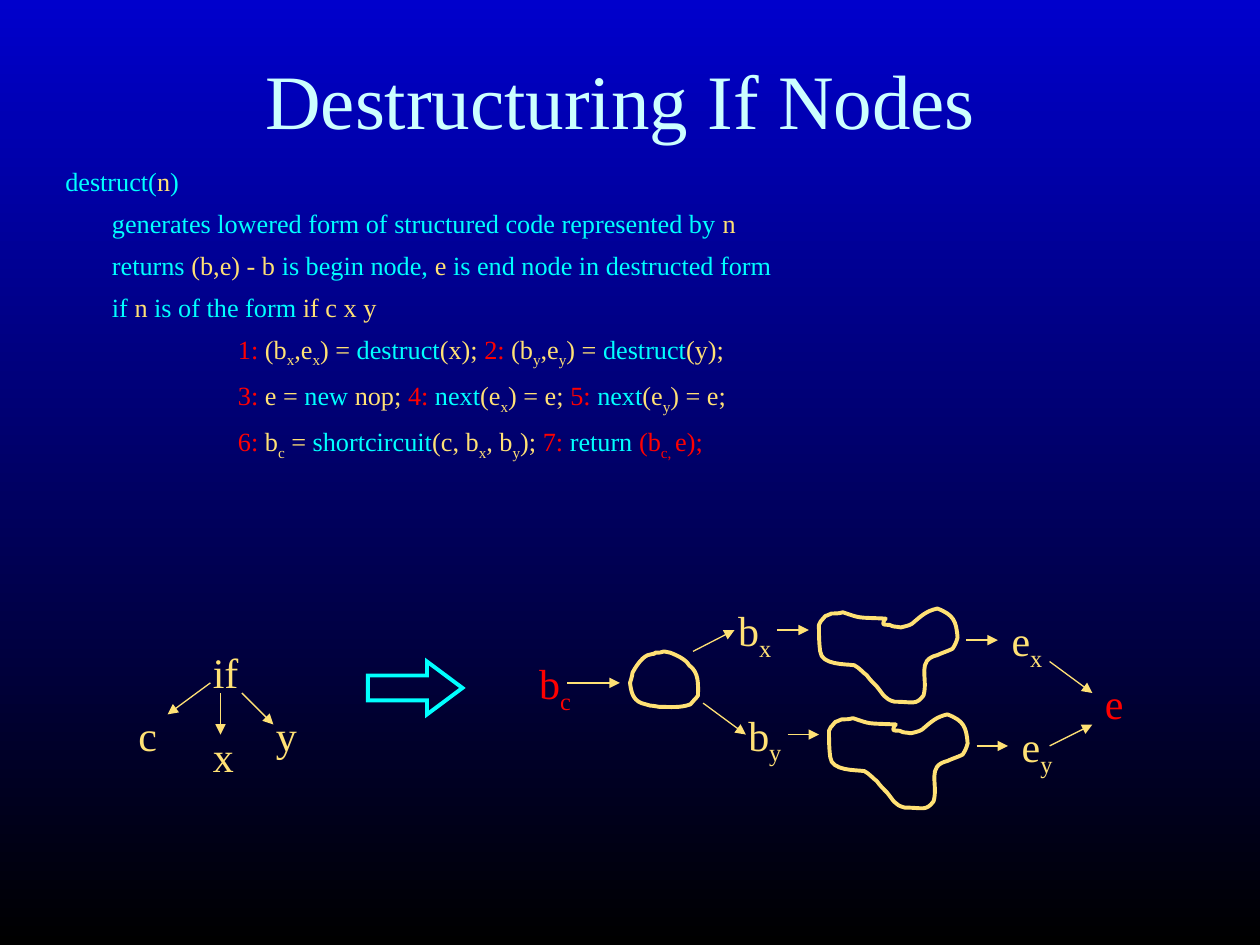
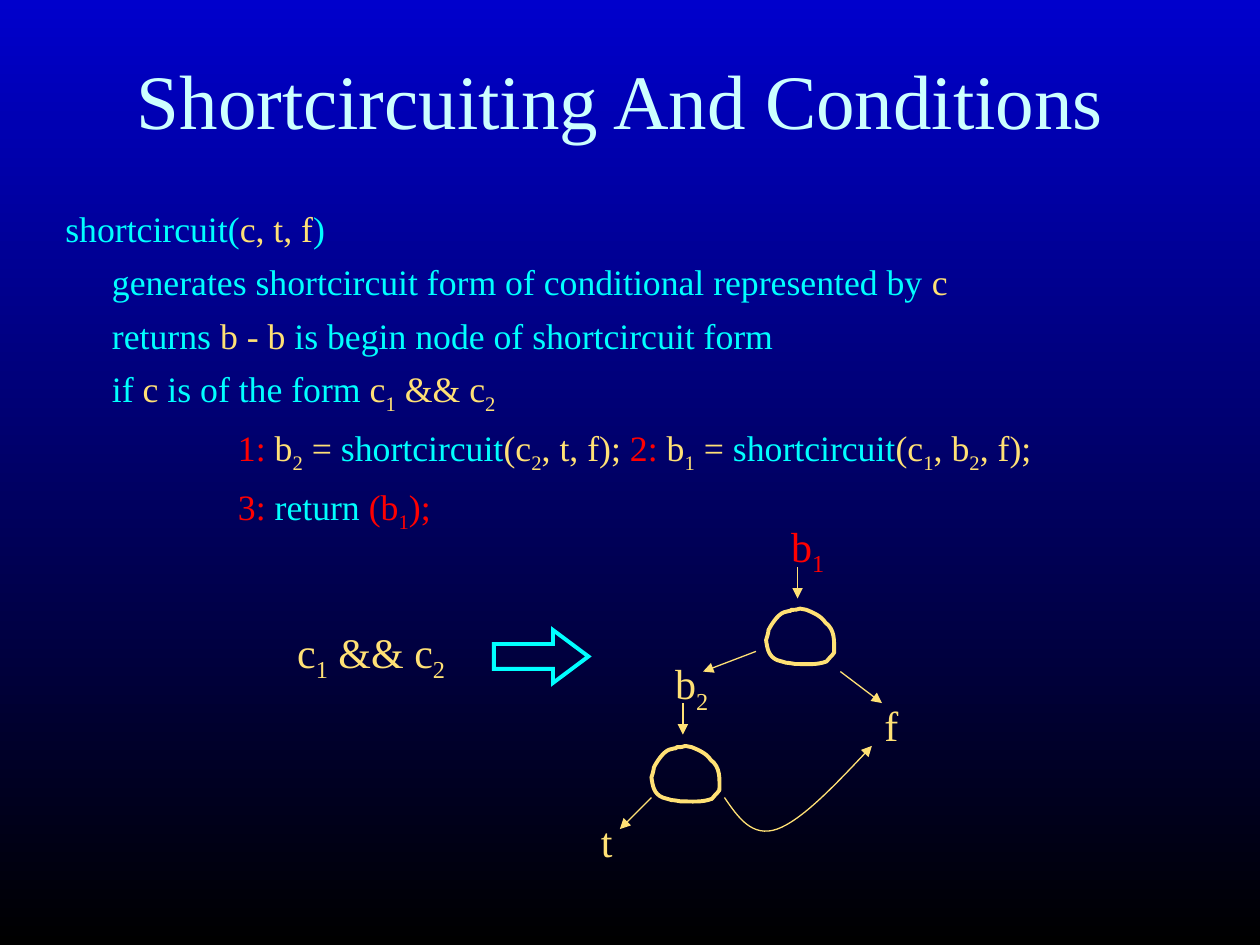
from itertools import chain
from typing import NamedTuple

from lxml.etree import SubElement
from pptx import Presentation
from pptx.dml.color import RGBColor
from pptx.enum.shapes import MSO_CONNECTOR, MSO_SHAPE
from pptx.enum.text import MSO_ANCHOR, MSO_AUTO_SIZE, PP_ALIGN
from pptx.oxml.ns import qn
from pptx.util import Inches, Pt

FONT = "Times New Roman"
SKY, NIGHT, PALE = "0000CC", "000000", "CCFFFF"
CYAN, GOLD, RED = "00FFFF", "FFE175", "FF0000"
INKS = {"c": CYAN, "y": GOLD, "r": RED}
INDENTS = (0, 0.37, 1.37)
SLACK = 0.05

Point = tuple[float, float]

# Bezier outlines, relative to the top left corner
NODE = (
    (0.2, 0.01),
    (0.2, 0.02), (0.19, 0.02), (0.18, 0.02),
    (0.17, 0.03), (0.15, 0.02), (0.14, 0.03),
    (0.09, 0.05), (0.04, 0.13), (0.02, 0.17),
    (0.02, 0.19), (0, 0.25), (0, 0.25),
    (0.01, 0.32), (0.02, 0.38), (0.09, 0.41),
    (0.11, 0.42), (0.14, 0.42), (0.16, 0.43),
    (0.18, 0.43), (0.23, 0.44), (0.23, 0.44),
    (0.32, 0.44), (0.4, 0.45), (0.48, 0.42),
    (0.53, 0.36), (0.51, 0.39), (0.54, 0.35),
    (0.54, 0.26), (0.55, 0.17), (0.47, 0.11),
    (0.44, 0.06), (0.37, 0.03), (0.32, 0.01),
    (0.3, 0.01), (0.29, 0), (0.27, 0),
    (0.25, 0.01), (0.23, 0.01), (0.2, 0.01),
)
CLOUD = (
    (0.53, 0.08),
    (0.29, 0.07), (0.34, 0.08), (0.19, 0.03),
    (0.16, 0.04), (0.13, 0.04), (0.1, 0.04),
    (0.08, 0.05), (0.05, 0.06), (0.05, 0.06),
    (0, 0.12), (0.02, 0.09), (0, 0.13),
    (0, 0.2), (0, 0.27), (0.01, 0.34),
    (0.02, 0.45), (0.21, 0.44), (0.28, 0.45),
    (0.32, 0.47), (0.35, 0.51), (0.38, 0.53),
    (0.4, 0.56), (0.43, 0.59), (0.46, 0.62),
    (0.51, 0.68), (0.52, 0.72), (0.6, 0.74),
    (0.75, 0.74), (0.77, 0.77), (0.83, 0.69),
    (0.87, 0.55), (0.77, 0.41), (0.94, 0.37),
    (0.98, 0.35), (1.02, 0.34), (1.06, 0.32),
    (1.08, 0.29), (1.09, 0.27), (1.1, 0.23),
    (1.09, 0.1), (1.07, 0.05), (0.94, 0),
    (0.85, 0.02), (0.81, 0.06), (0.74, 0.12),
    (0.71, 0.14), (0.68, 0.14), (0.65, 0.15),
    (0.6, 0.14), (0.6, 0.15), (0.56, 0.13),
    (0.54, 0.13), (0.51, 0.13), (0.51, 0.12),
    (0.51, 0.1), (0.52, 0.09), (0.53, 0.08),
)
SWOOP = (
    (5.75, 6.33),
    (5.86, 6.49), (5.97, 6.65), (6.17, 6.58),
    (6.36, 6.51), (6.64, 6.22), (6.92, 5.92),
)


class Label(NamedTuple):
    text: str
    left: float
    top: float
    width: float


class Arrow(NamedTuple):
    start: Point
    end: Point


class Line(NamedTuple):
    level: int
    text: str


class Code(NamedTuple):
    top: float
    width: float
    height: float
    size: float
    lines: tuple[Line, ...]


class Page(NamedTuple):
    title: str
    code: Code
    labels: tuple[Label, ...]
    arrows: tuple[Arrow, ...]
    nodes: tuple[Point, ...]
    clouds: tuple[Point, ...]
    block: Point
    swoops: tuple[tuple[Point, ...], ...] = ()


IF_PAGE = Page(
    "Destructuring If Nodes",
    Code(1.26, 9.17, 2.92, 15, (
        Line(0, "@cdestruct(@yn@c)"),
        Line(1, "@cgenerates lowered form of structured code represented by @yn"),
        Line(1, "@creturns @y(b,e) - b @cis begin node, @ye@c is end node in destructed form"),
        Line(1, "@cif @yn@c is of the form @yif c x y"),
        Line(2, "@r1:@y (b_x,e_x) = @cdestruct@y(x); @r2:@y (b_y,e_y) = @cdestruct@y(y);"),
        Line(2, "@r3:@y e = @cnew@y nop; @r4: @cnext@y(e_x) = e; @r5: @cnext@y(e_y) = e;"),
        Line(2, "@r6:@y b_c = @cshortcircuit@y(c, b_x, b_y); @r7: @creturn @r(b_c_,_ e);"),
    )),
    labels=(
        Label("@yif", 1.59, 5.08, 0.4),
        Label("@yc", 1, 5.58, 0.35),
        Label("@yx", 1.59, 5.75, 0.36),
        Label("@yy", 2.09, 5.58, 0.36),
        Label("@rb_c", 4.18, 5.17, 0.45),
        Label("@yb_x", 5.76, 4.75, 0.46),
        Label("@yb_y", 5.84, 5.58, 0.46),
        Label("@ye_x", 7.93, 4.83, 0.44),
        Label("@ye_y", 8.01, 5.67, 0.44),
        Label("@re", 8.67, 5.33, 0.35),
    ),
    arrows=(
        Arrow((1.67, 5.42), (1.33, 5.67)),
        Arrow((1.75, 5.5), (1.75, 5.83)),
        Arrow((1.92, 5.5), (2.17, 5.75)),
        Arrow((4.5, 5.42), (4.92, 5.42)),
        Arrow((5.5, 5.17), (5.83, 5)),
        Arrow((5.58, 5.58), (5.92, 5.83)),
        Arrow((6.17, 5), (6.42, 5)),
        Arrow((6.25, 5.83), (6.5, 5.83)),
        Arrow((7.67, 5.08), (7.92, 5.08)),
        Arrow((7.75, 5.92), (8, 5.92)),
        Arrow((8.33, 5.25), (8.67, 5.5)),
        Arrow((8.33, 5.92), (8.67, 5.75)),
    ),
    nodes=((5, 5.17),),
    clouds=((6.5, 4.83), (6.58, 5.67)),
    block=(2.92, 5.25),
)
AND_PAGE = Page(
    "Shortcircuiting And Conditions",
    Code(1.59, 9.42, 2.58, 20.4, (
        Line(0, "@cshortcircuit(@yc, t, f@c)"),
        Line(1, "@cgenerates shortcircuit form of conditional represented by @yc"),
        Line(1, "@creturns @yb - b @cis begin node of shortcircuit form"),
        Line(1, "@cif @yc@c is of the form @yc_1 && c_2"),
        Line(2, "@r1:@y b_2 = @cshortcircuit@y(c_2, t, f); "
                "@r2:@y b_1 = @cshortcircuit@y(c_1, b_2, f);"),
        Line(2, "@r3: @creturn @r(b_1);"),
    )),
    labels=(
        Label("@yc_1 && c_2", 2.26, 4.92, 1.37),
        Label("@rb_1", 6.18, 4.08, 0.46),
        Label("@yb_2", 5.26, 5.17, 0.46),
        Label("@yf", 6.92, 5.5, 0.31),
        Label("@yt", 4.67, 6.42, 0.29),
    ),
    arrows=(
        Arrow((6.33, 4.5), (6.33, 4.75)),
        Arrow((6.67, 5.33), (7, 5.58)),
        Arrow((6, 5.17), (5.58, 5.33)),
        Arrow((5.42, 5.58), (5.42, 5.83)),
        Arrow((5.17, 6.33), (4.92, 6.58)),
    ),
    nodes=((6.08, 4.83), (5.17, 5.92)),
    clouds=(),
    block=(3.92, 5),
    swoops=(SWOOP,),
)


def rgb(ink: str) -> RGBColor:
    return RGBColor.from_string(ink)


def add_run(para, text: str, size: float, ink: str, sub: bool = False) -> None:
    if not text:
        return
    run = para.add_run()
    run.text = text
    run.font.name, run.font.size = FONT, Pt(size)
    run.font.color.rgb = rgb(ink)
    if sub:
        run.font._element.set("baseline", "-25000")


def write(para, text: str, size: float) -> None:
    """Write marked text: @c, @y and @r pick the ink, _ lowers one character."""
    for part in text.split("@")[1:]:
        ink = INKS[part[0]]
        plain, *subs = part[1:].split("_")
        add_run(para, plain, size, ink)
        for piece in subs:
            add_run(para, piece[0], size, ink, True)
            add_run(para, piece[1:], size, ink)


def add_box(slide, left: float, top: float, width: float, height: float):
    box = slide.shapes.add_textbox(Inches(left), Inches(top), Inches(width), Inches(height))
    box.text_frame.word_wrap = True
    return box.text_frame


def add_title(slide, text: str) -> None:
    frame = add_box(slide, 0.34, 0.16, 9.17, 1.25)
    frame.vertical_anchor = MSO_ANCHOR.MIDDLE
    para = frame.paragraphs[0]
    para.alignment = PP_ALIGN.CENTER
    add_run(para, text, 44, PALE)


def add_code(slide, code: Code) -> None:
    frame = add_box(slide, 0.42, code.top, code.width, code.height)
    for row, line in enumerate(code.lines):
        para = frame.add_paragraph() if row else frame.paragraphs[0]
        if row:
            para.space_before = Pt(6)
        para._p.get_or_add_pPr().set("marL", str(Inches(INDENTS[line.level])))
        write(para, line.text, code.size)


def add_label(slide, label: Label) -> None:
    height = 0.56 if "_" in label.text else 0.5
    frame = add_box(slide, label.left, label.top, label.width + SLACK, height)
    frame.word_wrap = False
    frame.auto_size = MSO_AUTO_SIZE.NONE
    write(frame.paragraphs[0], label.text, 24)


def stroke(shape, ink: str, width: float, head: bool = False) -> None:
    shape.line.color.rgb = rgb(ink)
    shape.line.width = Pt(width)
    if head:
        SubElement(shape._element.spPr.find(qn("a:ln")), qn("a:tailEnd"), type="triangle")


def add_arrow(slide, arrow: Arrow) -> None:
    ends = (Inches(n) for n in chain(arrow.start, arrow.end))
    link = slide.shapes.add_connector(MSO_CONNECTOR.STRAIGHT, *ends)
    stroke(link, GOLD, 0.75, True)
    SubElement(link._element.spPr, qn("a:effectLst"))


def bend(shape) -> None:
    """Turn each three line segments of a freeform into one cubic Bezier."""
    route = shape._element.spPr.find(".//" + qn("a:path"))
    legs = route.findall(qn("a:lnTo"))
    for first, second, third in zip(legs[::3], legs[1::3], legs[2::3]):
        first.tag = qn("a:cubicBezTo")
        for leg in (second, third):
            first.append(leg[0])
            route.remove(leg)


def add_curve(slide, curve: tuple[Point, ...], at: Point = (0, 0), loop: bool = True) -> None:
    dots = [(Inches(x + at[0]), Inches(y + at[1])) for x, y in curve]
    pen = slide.shapes.build_freeform(*dots[0])
    pen.add_line_segments(dots[1:], close=loop)
    shape = pen.convert_to_shape()
    bend(shape)
    shape.shadow.inherit = False
    shape.fill.background()
    stroke(shape, GOLD, 2.25 if loop else 0.75, not loop)


def add_block(slide, at: Point) -> None:
    shape = slide.shapes.add_shape(
        MSO_SHAPE.RIGHT_ARROW, Inches(at[0]), Inches(at[1]), Inches(0.75), Inches(0.42))
    shape.adjustments[0], shape.adjustments[1] = 0.47, 0.67
    shape.shadow.inherit = False
    shape.fill.background()
    stroke(shape, CYAN, 2.25)
    SubElement(shape._element.spPr.find(qn("a:ln")), qn("a:miter"), lim="800000")


def add_page(deck, page: Page) -> None:
    slide = deck.slides.add_slide(deck.slide_layouts[6])
    fill = slide.background.fill
    fill.gradient()
    fill.gradient_angle = 270
    for stop, ink in zip(fill.gradient_stops, (SKY, NIGHT)):
        stop.color.rgb = rgb(ink)
    add_title(slide, page.title)
    add_code(slide, page.code)
    for label in page.labels:
        add_label(slide, label)
    for at in page.nodes:
        add_curve(slide, NODE, at)
    for at in page.clouds:
        add_curve(slide, CLOUD, at)
    add_block(slide, page.block)
    for arrow in page.arrows:
        add_arrow(slide, arrow)
    for curve in page.swoops:
        add_curve(slide, curve, loop=False)


def main() -> None:
    deck = Presentation()
    deck.slide_width, deck.slide_height = Inches(10), Inches(7.5)
    for page in (IF_PAGE, AND_PAGE):
        add_page(deck, page)
    deck.save("out.pptx")


if __name__ == "__main__":
    main()
